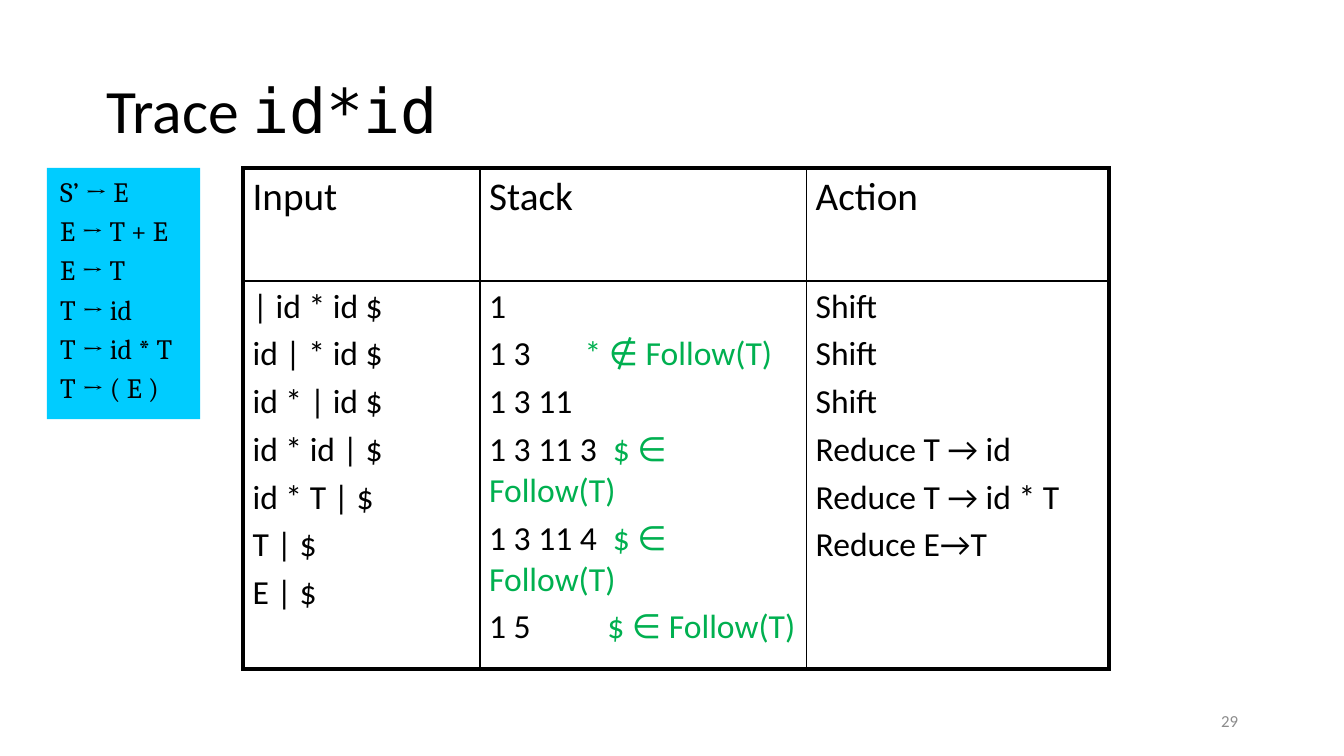
import dataclasses

import pptx
import pptx.dml.color
import pptx.enum.shapes
import pptx.enum.text
import pptx.oxml
import pptx.oxml.ns
import pptx.util

Inches = pptx.util.Inches
Pt = pptx.util.Pt
RGBColor = pptx.dml.color.RGBColor
Align = pptx.enum.text.PP_ALIGN
Anchor = pptx.enum.text.MSO_ANCHOR

BLACK = RGBColor(0, 0, 0)
GREEN = RGBColor(0x00, 0xB0, 0x50)
CYAN = RGBColor(0x00, 0xCC, 0xFF)
GRAY = RGBColor(0x8C, 0x8C, 0x8C)
THICK, THIN = 2.25, 1


@dataclasses.dataclass
class Line:
    text: str
    note: str = ""
    tab: float = 0


@dataclasses.dataclass
class Column:
    head: str
    width: float
    lines: list[Line]


# Content of the trace table and the grammar
COLUMNS = [
    Column("Input", 1.76, [Line(text) for text in (
        "| id * id $", "id | * id $", "id * | id $", "id * id | $",
        "id * T | $", "T | $", "E | $")]),
    Column("Stack", 2.43, [
        Line("1"),
        Line("1 3", "* ∉ Follow(T)", 0.71),
        Line("1 3 11"),
        Line("1 3 11 3", "$ ∈ Follow(T)", 0.92),
        Line("1 3 11 4", "$ ∈ Follow(T)", 0.92),
        Line("1 5", "$ ∈ Follow(T)", 0.88)]),
    Column("Action", 2.25, [Line(text) for text in (
        "Shift", "Shift", "Shift", "Reduce T → id",
        "Reduce T → id * T", "Reduce E→T")]),
]
ROWS = [0.84, 2.89]
RULES = ["S’ → E", "E → T + E", "E → T", "T → id", "T → id * T", "T → ( E )"]


# Text helpers
def add_run(para, text: str, size: float, color: RGBColor = BLACK,
            name: str = "Calibri", bold: bool = False) -> None:
    run = para.add_run()
    run.text = text
    run.font.color.rgb = color
    style = {"size": Pt(size), "name": name, "bold": bold}
    for key, value in style.items():
        setattr(run.font, key, value)


def next_para(frame, index: int, size: float):
    """Give the paragraph at index, spaced by a fifth of the text size."""
    para = frame.add_paragraph() if index else frame.paragraphs[0]
    para.alignment = Align.LEFT
    if index:
        para.space_before = Pt(size * 0.2)
    return para


def add_tab(para, place: float) -> None:
    tabs = pptx.oxml.parse_xml(
        f'<a:tabLst {pptx.oxml.ns.nsdecls("a")}>'
        f'<a:tab pos="{Inches(place)}" algn="l"/></a:tabLst>')
    para._p.get_or_add_pPr().append(tabs)


# Table cells
def add_edge(cell, side: str, width: float) -> None:
    edge = pptx.oxml.parse_xml(
        f'<a:ln{side} {pptx.oxml.ns.nsdecls("a")} w="{Pt(width)}">'
        f'<a:solidFill><a:srgbClr val="{BLACK}"/></a:solidFill></a:ln{side}>')
    cell._tc.get_or_add_tcPr().append(edge)


def fill_cell(cell, lines: list[Line], size: float,
              outer: dict[str, bool]) -> None:
    style = {"margin_left": Inches(0.07), "margin_right": Inches(0.07),
             "margin_top": Inches(0.04), "margin_bottom": Inches(0.04),
             "vertical_anchor": Anchor.TOP}
    for key, value in style.items():
        setattr(cell, key, value)
    for side, edge in outer.items():
        add_edge(cell, side, THICK if edge else THIN)
    cell.fill.background()
    for index, line in enumerate(lines):
        para = next_para(cell.text_frame, index, size)
        if line.note:
            add_tab(para, line.tab)
        add_run(para, line.text, size)
        if line.note:
            add_run(para, "\t" + line.note, size, GREEN)


# Parts of the slide
def add_title(slide) -> None:
    title = slide.shapes.title
    place = {"left": 0.69, "top": 0.3, "width": 8.62, "height": 1.09}
    for key, value in place.items():
        setattr(title, key, Inches(value))
    title.text_frame.vertical_anchor = Anchor.MIDDLE
    para = next_para(title.text_frame, 0, 33)
    para.line_spacing = 0.9
    add_run(para, "Trace ", 33)
    add_run(para, "id*id", 33, name="DejaVu Sans Mono")


def add_trace(slide) -> None:
    table = slide.shapes.add_table(
        len(ROWS), len(COLUMNS), Inches(1.81), Inches(1.25),
        Inches(sum(col.width for col in COLUMNS)), Inches(sum(ROWS))).table
    table.first_row = table.horz_banding = False
    for row, height in enumerate(ROWS):
        table.rows[row].height = Inches(height)
    for index, col in enumerate(COLUMNS):
        table.columns[index].width = Inches(col.width)
        parts = [([Line(col.head)], 21), (col.lines, 18)]
        for row, (lines, size) in enumerate(parts):
            outer = {"L": index == 0, "R": index == len(COLUMNS) - 1,
                     "T": row == 0, "B": row == len(ROWS) - 1}
            fill_cell(table.cell(row, index), lines, size, outer)


def add_rules(slide) -> None:
    box = slide.shapes.add_shape(
        pptx.enum.shapes.MSO_SHAPE.RECTANGLE,
        Inches(0.35), Inches(1.25), Inches(1.14), Inches(1.87))
    box.shadow.inherit = False
    box.fill.solid()
    box.fill.fore_color.rgb = CYAN
    box.line.fill.background()
    frame = box.text_frame
    frame.word_wrap = True
    frame.vertical_anchor = Anchor.TOP
    for index, rule in enumerate(RULES):
        para = next_para(frame, index, 15)
        for part in rule.partition("→"):
            add_run(para, part, 15, name="Cambria", bold=part == "→")


def add_number(slide) -> None:
    box = slide.shapes.add_textbox(
        Inches(7.06), Inches(5.21), Inches(2.25), Inches(0.3))
    box.text_frame.word_wrap = True
    box.text_frame.vertical_anchor = Anchor.MIDDLE
    para = box.text_frame.paragraphs[0]
    para.alignment = Align.RIGHT
    add_run(para, "29", 9, GRAY)


def main() -> None:
    deck = pptx.Presentation()
    # Widescreen, 16 to 9
    deck.slide_width = Inches(10)
    deck.slide_height = Inches(10 * 9 / 16)
    slide = deck.slides.add_slide(deck.slide_layouts[5])
    for draw in (add_title, add_number, add_trace, add_rules):
        draw(slide)
    deck.save("out.pptx")


if __name__ == "__main__":
    main()
